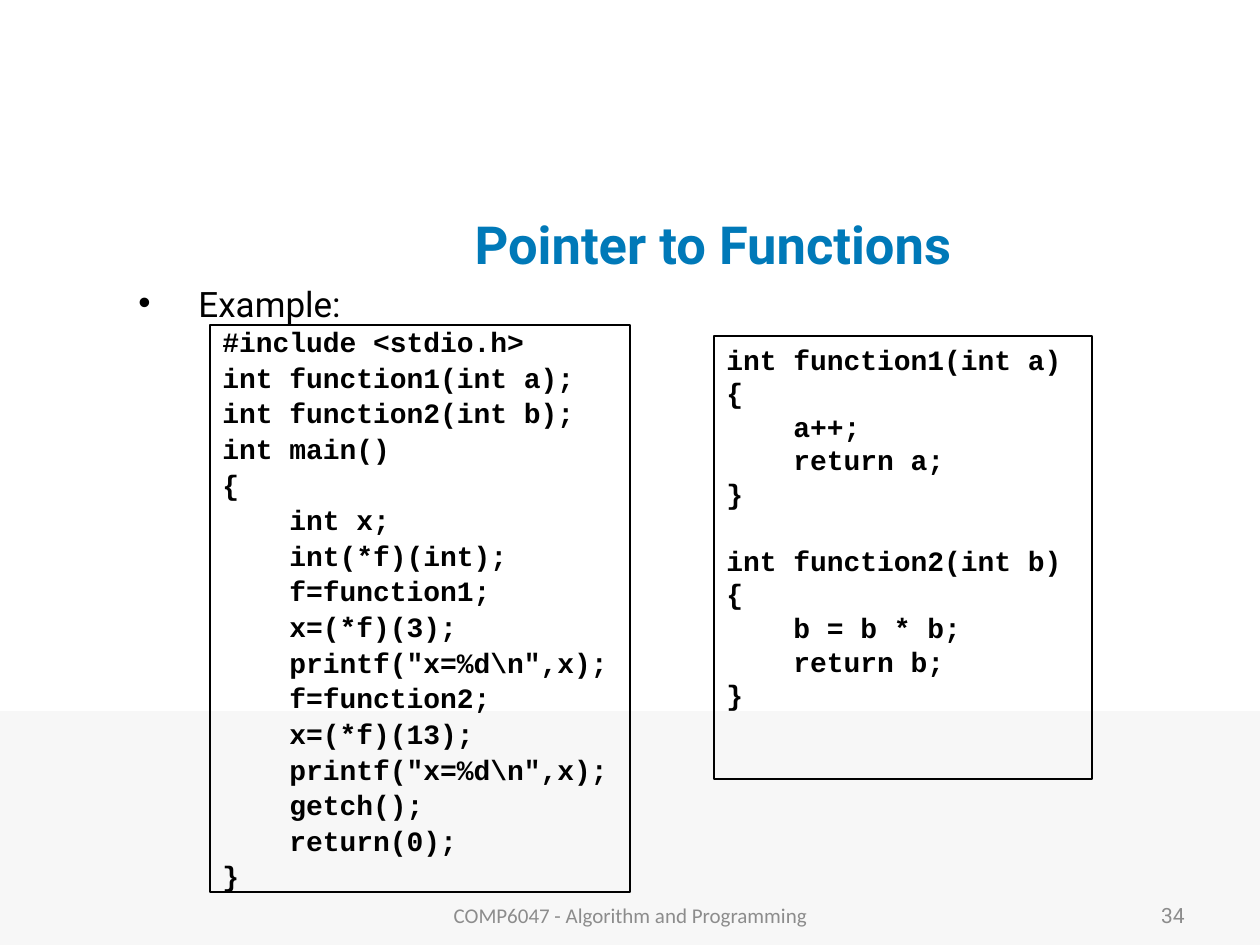
from lxml import etree
from pptx import Presentation
from pptx import util as u
from pptx.dml.color import RGBColor
from pptx.enum import shapes, text
from pptx.oxml.ns import qn

PX = u.Inches(1) // 126
INDENT = 67
COLORS = {
    "white": "FFFFFF",
    "band": "F7F7F7",
    "title": "0079B8",
    "ink": "000000",
    "footer": "8C8C8C",
}
MAIN_CODE = [
    (0, "#include <stdio.h>"),
    (0, "int function1(int a);"),
    (0, "int function2(int b);"),
    (0, "int main()"),
    (0, "{"),
    (1, "int x;"),
    (1, "int(*f)(int);"),
    (1, "f=function1;"),
    (1, "x=(*f)(3);"),
    (1, r'printf("x=%d\n",x);'),
    (1, "f=function2;"),
    (1, "x=(*f)(13);"),
    (1, r'printf("x=%d\n",x);'),
    (1, "getch();"),
    (1, "return(0);"),
    (0, "}"),
]
FUNCTION_1 = [
    (0, "int function1(int a)"),
    (0, "{"),
    (1, "a++;"),
    (1, "return a;"),
    (0, "}"),
]
FUNCTION_2 = [
    (0, "int function2(int b)"),
    (0, "{"),
    (1, "b = b * b;"),
    (1, "return b;"),
    (0, "}"),
]


def color(name):
    return RGBColor.from_string(COLORS[name])


def box(px):
    return [v * PX for v in px]


def add_para(tf, content, size=16, font="Roboto", ink="ink", bold=False,
             align="LEFT", spacing=None, before=0, left=0, bullet=None):
    p = tf.paragraphs[0]
    if p.runs:
        p = tf.add_paragraph()
    p.alignment = text.PP_ALIGN[align]
    p.space_before = u.Pt(before)
    if spacing:
        p.line_spacing = spacing
    pPr = p._p.get_or_add_pPr()
    pPr.set("marL", str(left * PX))
    pPr.set("indent", str(-left * PX if bullet else 0))
    if bullet:
        etree.SubElement(pPr, qn("a:buFont")).set("typeface", "Arial")
        etree.SubElement(pPr, qn("a:buChar")).set("char", bullet)
    r = p.add_run()
    r.text = content
    r.font.size = u.Pt(size)
    r.font.name = font
    r.font.bold = bold
    r.font.color.rgb = color(ink)


def add_label(s, px, content, anchor="MIDDLE", **fmt):
    tf = s.shapes.add_textbox(*box(px)).text_frame
    tf.word_wrap = True
    tf.vertical_anchor = text.MSO_ANCHOR[anchor]
    add_para(tf, content, **fmt)


def add_rect(s, px, fill=None, line=None):
    sp = s.shapes.add_shape(shapes.MSO_SHAPE.RECTANGLE, *box(px))
    sp.shadow.inherit = False
    if fill:
        sp.fill.solid()
        sp.fill.fore_color.rgb = color(fill)
    else:
        sp.fill.background()
    if line:
        sp.line.color.rgb = color(line)
        sp.line.width = u.Pt(0.75)
    else:
        sp.line.fill.background()
    return sp


def add_code(s, px, blocks, before=0, gap=0, spacing=None):
    tf = add_rect(s, px, line="ink").text_frame
    tf.word_wrap = True
    tf.vertical_anchor = text.MSO_ANCHOR.TOP
    for b, block in enumerate(blocks):
        for i, (level, content) in enumerate(block):
            add_para(tf, content, font="Courier New", bold=True,
                     spacing=spacing, left=level * INDENT,
                     before=gap if b and i == 0 else before)


def main():
    prs = Presentation()
    prs.slide_width, prs.slide_height = box((1260, 945))
    s = prs.slides.add_slide(prs.slide_layouts[6])
    s.background.fill.solid()
    s.background.fill.fore_color.rgb = color("white")

    add_rect(s, (0, 711, 1260, 234), fill="band")
    add_label(s, (242, 189, 942, 110), "Pointer to Functions",
              size=30, ink="title", bold=True, align="CENTER")
    add_label(s, (903, 890, 294, 50), "34",
              size=12, ink="footer", align="RIGHT")
    add_label(s, (126, 284, 1081, 73), "Example:", anchor="TOP",
              size=20, spacing=0.8, before=4, left=60, bullet="•")
    add_code(s, (210, 325, 420, 567), [MAIN_CODE], before=5, spacing=0.8)
    add_code(s, (714, 336, 378, 443), [FUNCTION_1, FUNCTION_2], gap=19)
    add_label(s, (431, 890, 399, 50), "COMP6047 - Algorithm and Programming",
              size=12, font="Calibri", ink="footer", align="CENTER")
    prs.save("out.pptx")


if __name__ == "__main__":
    main()
